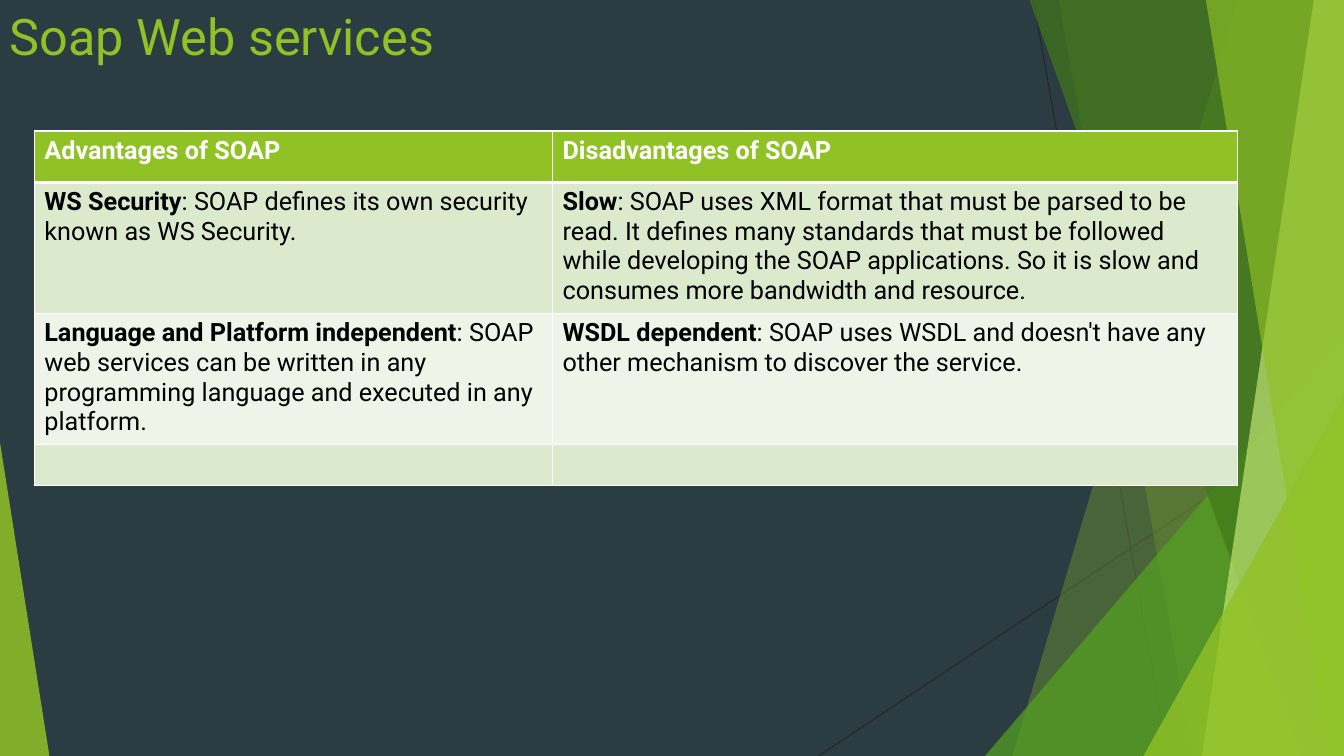
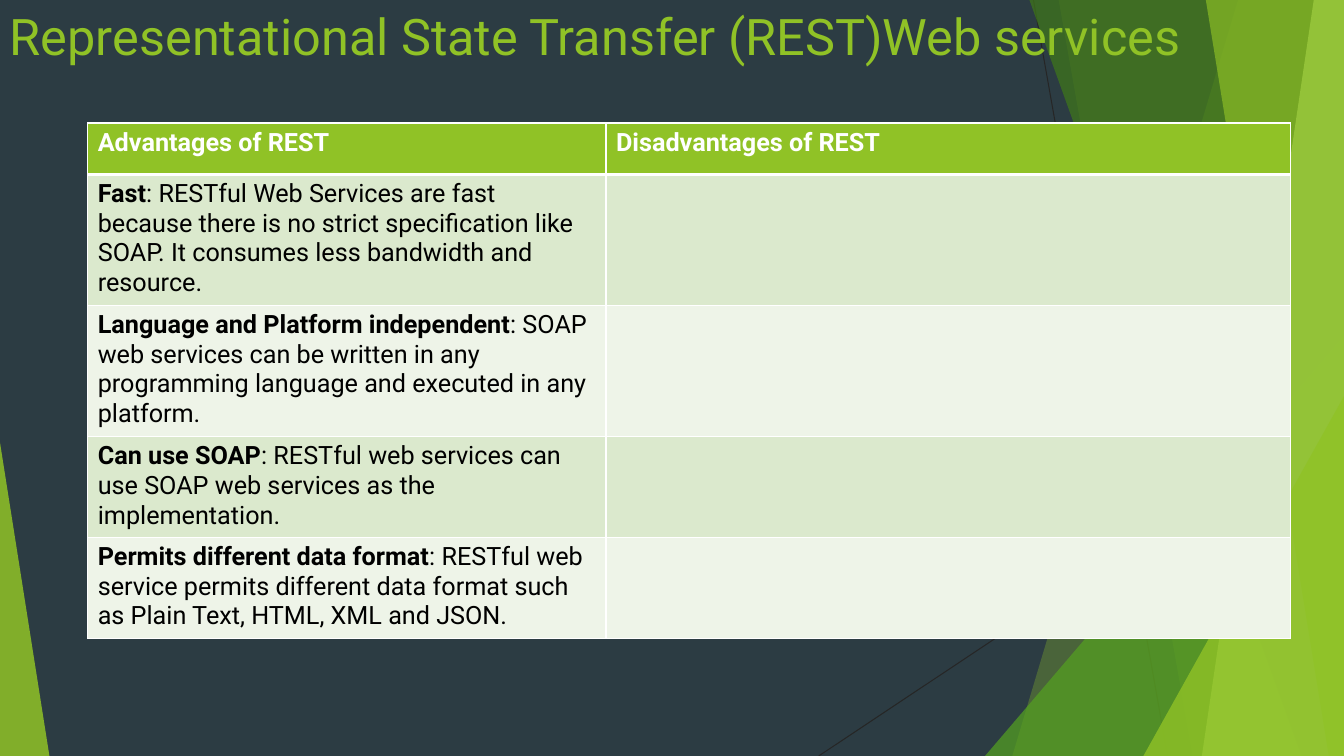
"""Build two slides that compare the pros and cons of SOAP and REST web services."""
from lxml.etree import SubElement
from pptx import Presentation
from pptx.enum.shapes import MSO_CONNECTOR as Connector, MSO_SHAPE as Shape
from pptx.dml.color import RGBColor
from pptx.oxml import parse_xml
from pptx.oxml.ns import nsdecls, qn
from pptx.util import Inches, Pt

WIDTH, HEIGHT = 13.33, 7.5
FONT = "Roboto"
SLATE, GREEN, WHITE, BLACK = "2C3C43", "90C226", "FFFFFF", "000000"
LEAF, FOREST, LIME, CHARCOAL = "54A021", "3F7819", "C0E474", "262626"
ROW_FILLS = ("EEF4E8", "DBE9CD")
COLUMN_WIDTHS = (5.14, 6.79)

RAYS = [((10.25, 0), (11.58, HEIGHT)), ((WIDTH, 4.03), (8.12, HEIGHT))]
PANELS = [
    ("band", (12.28, 10.04), GREEN, 30),
    ("band", (10.5, 11.83), GREEN, 20),
    ("triangle", (9.77, 3.33, 3.56, 1), LEAF, 72),
    ("band", (10.21, 12.91), FOREST, 70),
    ("band", (13.03, 11.92), LIME, 70),
    ("band", (11.96, 13.18), GREEN, 65),
    ("triangle", (11.34, 3.93, 1.99, 1), GREEN, 80),
    ("triangle", (0, 4.39, 0.49, 0), GREEN, 85),
]

INDEPENDENT = ("Language and Platform independent",
               ": SOAP web services can be written in any programming language "
               "and executed in any platform.")
SLIDES = [
    {
        "title": "Soap Web services", "title_width": 9.4,
        "corner": (0.34, 1.3), "heights": (0.51, 1.27, 1.27, 0.41),
        "rows": [
            (("Advantages of SOAP",), ("Disadvantages of SOAP",)),
            (("WS Security", ": SOAP defines its own security known as WS Security."),
             ("Slow", ": SOAP uses XML format that must be parsed to be read. It defines "
              "many standards that must be followed while developing the SOAP "
              "applications. So it is slow and consumes more bandwidth and resource.")),
            (INDEPENDENT,
             ("WSDL dependent", ": SOAP uses WSDL and doesn't have any other mechanism "
              "to discover the service.")),
            ((), ()),
        ],
    },
    {
        "title": "Representational State Transfer (REST)Web services", "title_width": 12.58,
        "corner": (0.87, 1.22), "heights": (0.51, 1.27, 1.27, 0.98, 0.98),
        "rows": [
            (("Advantages of REST",), ("Disadvantages of REST",)),
            (("Fast", ": RESTful Web Services are fast because there is no strict "
              "specification like SOAP. It consumes less bandwidth and resource."), ()),
            (INDEPENDENT, ()),
            (("Can use SOAP", ": RESTful web services can use SOAP web services as the "
              "implementation."), ()),
            (("Permits different data format", ": RESTful web service permits different "
              "data format such as Plain Text, HTML, XML and JSON."), ()),
        ],
    },
]


def paint(fill, colour, opacity=100):
    fill.solid()
    fill.fore_color.rgb = RGBColor.from_string(colour)
    if opacity < 100:
        tint = fill._xPr.find(qn("a:solidFill"))[0]
        SubElement(tint, qn("a:alpha")).set("val", str(opacity * 1000))


def write(para, text, size=18, colour=BLACK, bold=False):
    span = para.add_run()
    span.text = text
    span.font.name, span.font.size, span.font.bold = FONT, Pt(size), bold
    paint(span.font.fill, colour)


deck = Presentation()
deck.slide_width, deck.slide_height = Inches(WIDTH), Inches(HEIGHT)

for content in SLIDES:
    page = deck.slides.add_slide(deck.slide_layouts[6])
    paint(page.background.fill, SLATE)

    for start, end in RAYS:
        ray = page.shapes.add_connector(Connector.STRAIGHT, *map(Inches, start + end))
        paint(ray.line.fill, CHARCOAL)
        ray.line.width = Pt(0.75)
        SubElement(ray._element.spPr, qn("a:effectLst"))

    for kind, place, colour, opacity in PANELS:
        if kind == "band":
            top_left, bottom_left = place
            outline = page.shapes.build_freeform(Inches(top_left), 0)
            corners = [(WIDTH, 0), (WIDTH, HEIGHT), (bottom_left, HEIGHT)]
            outline.add_line_segments([(Inches(x), Inches(y)) for x, y in corners])
            panel = outline.convert_to_shape()
        else:
            left, top, width, apex = place
            panel = page.shapes.add_shape(Shape.ISOSCELES_TRIANGLE, Inches(left), Inches(top),
                                          Inches(width), Inches(HEIGHT - top))
            panel.adjustments[0] = apex
        paint(panel.fill, colour, opacity)
        panel.line.fill.background()
        panel.shadow.inherit = False

    box = page.shapes.add_textbox(0, 0, Inches(content["title_width"]), Inches(0.84))
    box.text_frame.word_wrap = True
    write(box.text_frame.paragraphs[0], content["title"], size=36, colour=GREEN)

    rows, heights = content["rows"], content["heights"]
    left, top = content["corner"]
    table = page.shapes.add_table(len(rows), len(COLUMN_WIDTHS), Inches(left), Inches(top),
                                  Inches(sum(COLUMN_WIDTHS)), Inches(sum(heights))).table
    for column, width in zip(table.columns, COLUMN_WIDTHS):
        column.width = Inches(width)
    for row_index, (texts, height) in enumerate(zip(rows, heights)):
        header = row_index == 0
        table.rows[row_index].height = Inches(height)
        for column_index, parts in enumerate(texts):
            cell = table.cell(row_index, column_index)
            for part_index, text in enumerate(parts):
                write(cell.text_frame.paragraphs[0], text, bold=part_index == 0,
                      colour=WHITE if header else BLACK)
            borders = {"L": 1, "R": 1, "T": 3 if row_index == 1 else 1, "B": 3 if header else 1}
            for side, points in borders.items():
                cell._tc.get_or_add_tcPr().append(parse_xml(
                    f'<a:ln{side} {nsdecls("a")} w="{Pt(points)}"><a:solidFill>'
                    f'<a:srgbClr val="{WHITE}"/></a:solidFill></a:ln{side}>'))
            paint(cell.fill, GREEN if header else ROW_FILLS[row_index % 2])

deck.save("out.pptx")
